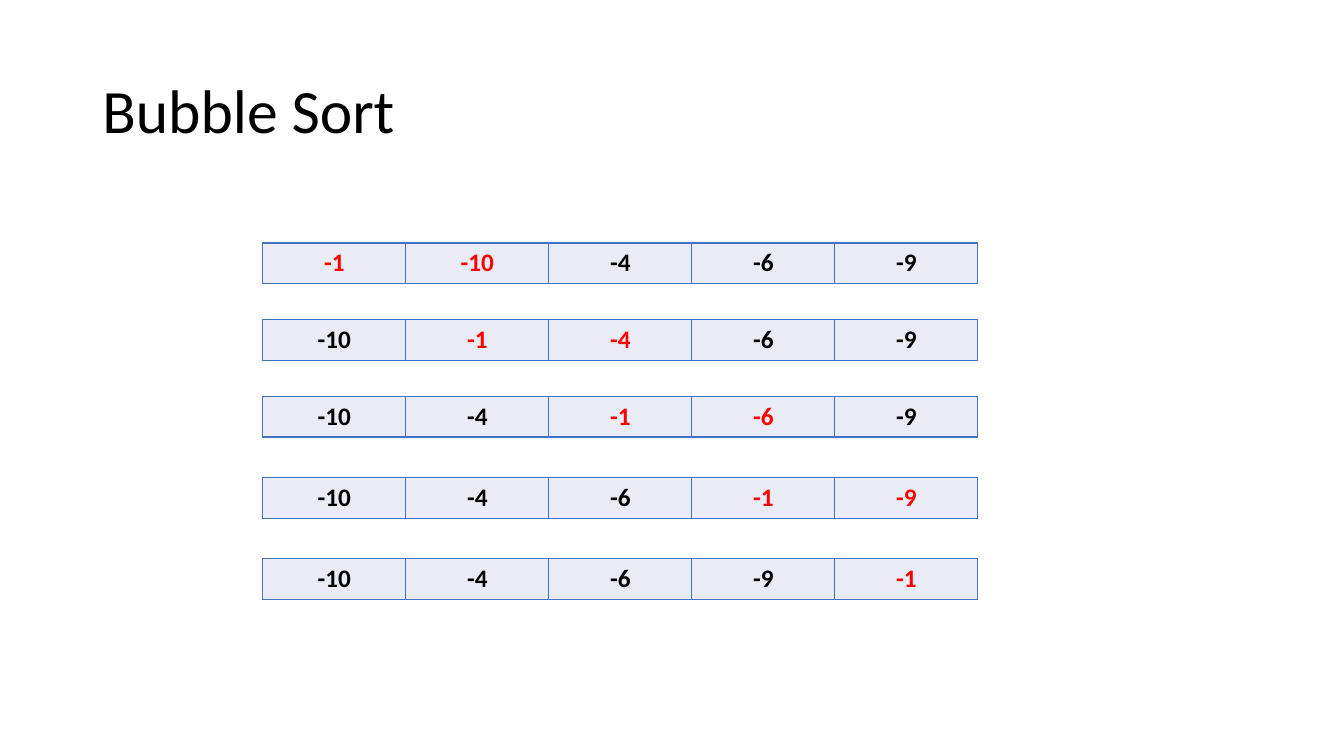
from lxml.etree import SubElement
from pptx import Presentation
from pptx.dml.color import RGBColor
from pptx.enum.text import MSO_ANCHOR, PP_ALIGN
from pptx.oxml.ns import qn
from pptx.util import Pt

TITLE = "Bubble Sort"
# Top edge and values of the list at each step; step n compares items n and n + 1.
STEPS = [
    (173.5, ["-1", "-10", "-4", "-6", "-9"]),
    (228.25, ["-10", "-1", "-4", "-6", "-9"]),
    (283, ["-10", "-4", "-1", "-6", "-9"]),
    (341.25, ["-10", "-4", "-6", "-1", "-9"]),
    (399, ["-10", "-4", "-6", "-9", "-1"]),
]
TABLE_LEFT, COLUMN_WIDTH, ROW_HEIGHT = 187.75, 102.15, 29.2

FONT = "Calibri"
BLACK = RGBColor(0x00, 0x00, 0x00)
RED = RGBColor(0xFF, 0x00, 0x00)
BLUE = RGBColor(0x44, 0x72, 0xC4)
PALE_BLUE = RGBColor(0xE9, 0xEB, 0xF5)


def write(frame, text, size, color=BLACK, bold=False, align=PP_ALIGN.LEFT, spacing=None):
    para = frame.paragraphs[0]
    para.alignment = align
    para.line_spacing = spacing
    span = para.add_run()
    span.text = text
    span.font.name = FONT
    span.font.size = Pt(size)
    span.font.bold = bold
    span.font.color.rgb = color


def add_borders(cell, color, width):
    properties = cell._tc.get_or_add_tcPr()
    for side in ("a:lnL", "a:lnR", "a:lnT", "a:lnB"):
        line = SubElement(properties, qn(side), w=str(Pt(width)))
        fill = SubElement(line, qn("a:solidFill"))
        SubElement(fill, qn("a:srgbClr"), val=str(color))


def add_step(page, step, top, values):
    table = page.shapes.add_table(
        1, len(values), Pt(TABLE_LEFT), Pt(top),
        Pt(COLUMN_WIDTH * len(values)), Pt(ROW_HEIGHT)).table
    table.first_row = False
    table.horz_banding = False
    for column, value in enumerate(values):
        table.columns[column].width = Pt(COLUMN_WIDTH)
        cell = table.cell(0, column)
        add_borders(cell, BLUE, 1)
        cell.fill.solid()
        cell.fill.fore_color.rgb = PALE_BLUE
        color = RED if column in (step, step + 1) else BLACK
        write(cell.text_frame, value, 18, color=color, bold=True, align=PP_ALIGN.CENTER)


def main():
    deck = Presentation()
    deck.slide_width, deck.slide_height = Pt(960), Pt(540)
    page = deck.slides.add_slide(deck.slide_layouts[5])

    title = page.shapes.title
    title.left, title.top, title.width, title.height = Pt(66), Pt(28.75), Pt(828), Pt(104.4)
    title.text_frame.vertical_anchor = MSO_ANCHOR.MIDDLE
    write(title.text_frame, TITLE, 44, spacing=0.9)

    for step, (top, values) in enumerate(STEPS):
        add_step(page, step, top, values)
    deck.save("out.pptx")


if __name__ == "__main__":
    main()
